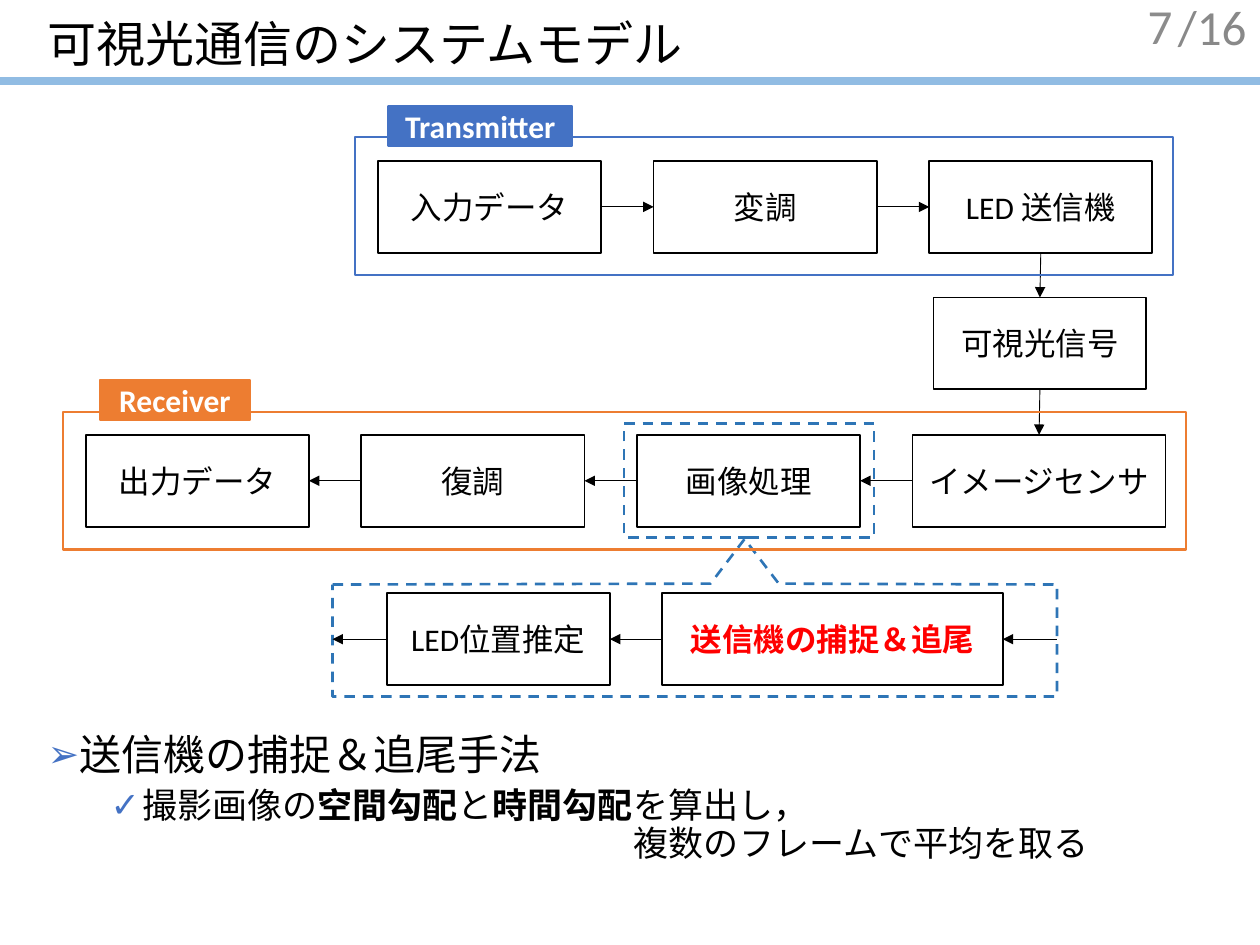
from lxml import etree
from pptx import Presentation
from pptx.dml.color import RGBColor
from pptx.enum import dml, shapes, text
from pptx.oxml.ns import qn
from pptx.util import Pt

THEME = {
    "font": "Calibri", "black": "000000", "white": "FFFFFF", "red": "FF0000",
    "blue": "4472C4", "orange": "ED7D31", "dash": "2E75B6", "rule": "91BCE3",
    "total": "898989", "number": "8C8C8C",
    "title_size": 28, "heading_size": 24, "detail_size": 20, "box_size": 18,
}

TITLE = "可視光通信のシステムモデル"
# Each row: left, top, labels in reading order, widths that differ, direction of flow
ROWS = {
    "transmitter": (216, 92, ["入力データ", "変調", "LED 送信機"], {}, "right"),
    "receiver": (49, 248.5, ["出力データ", "復調", "画像処理", "イメージセンサ"],
                 {3: 144.5}, "left"),
    "processing": (221, 339, ["LED位置推定", "送信機の捕捉＆追尾"], {1: 194.5}, "left"),
}
HIGHLIGHT = "送信機の捕捉＆追尾"
SIGNAL = ("可視光信号", (533.5, 170, 121.5))
# Each group: frame, tag, tag text, colour
GROUPS = [
    ((203, 78.5, 467.5, 78.5), (222, 60.5, 105, 23), "Transmitter", "blue"),
    ((36, 235.5, 642, 78.5), (57, 217, 86, 23), "Receiver", "orange"),
]
FOCUS = (356.5, 242, 143, 65)
CALLOUT = [(190, 334), (406, 333.5), (425.5, 308), (445, 333.5),
           (604, 334), (604, 398), (190, 398)]
# Each line: runs (text, bold), size, bullet, left edge, hanging, level, space before
BODY = [
    ([("送信機の捕捉＆追尾手法", False)], "heading_size", ("➢", 90), 18, 18, 0, 0),
    ([("撮影画像の", False), ("空間勾配", True), ("と", False), ("時間勾配", True),
      ("を算出し，", False)], "detail_size", ("✓", 100), 54, 18, 1, 5),
    ([("複数のフレームで平均を取る", False)], "detail_size", None, 335, 0, 1, 0),
]

BOX_WIDTH, BOX_HEIGHT, COLUMN_PITCH = 127.5, 52.5, 157.5
TOP_SITE, LEFT_SITE, BOTTOM_SITE, RIGHT_SITE = range(4)


def color(name):
    return RGBColor.from_string(THEME[name])


def style_paragraph(paragraph, size, color_name, bold=False, align=None):
    paragraph.alignment = align
    font = paragraph.font
    font.name, font.size, font.bold = THEME["font"], Pt(THEME[size]), bold
    font.color.rgb = color(color_name)


def style_outline(shape, line_color, line_width, dashed=False, fill=None):
    shape.shadow.inherit = False
    if fill:
        shape.fill.solid()
        shape.fill.fore_color.rgb = color(fill)
    else:
        shape.fill.background()
    shape.line.color.rgb = color(line_color)
    shape.line.width = Pt(line_width)
    if dashed:
        shape.line.dash_style = dml.MSO_LINE.DASH


def add_rectangle(slide, area, line_color, line_width, label="", label_color="black",
                  bold=False, **outline):
    shape = slide.shapes.add_shape(shapes.MSO_SHAPE.RECTANGLE, *map(Pt, area))
    style_outline(shape, line_color, line_width, **outline)
    if label:
        frame = shape.text_frame
        frame.text = label
        frame.vertical_anchor = text.MSO_ANCHOR.MIDDLE
        style_paragraph(frame.paragraphs[0], "box_size", label_color, bold,
                        text.PP_ALIGN.CENTER)
    return shape


def add_box(slide, left, top, width, label):
    marked = label == HIGHLIGHT
    return add_rectangle(slide, (left, top, width, BOX_HEIGHT), "black", 1, label,
                         "red" if marked else "black", marked)


def add_line(slide, start, end, line_color="black", width=0.5):
    line = slide.shapes.add_connector(shapes.MSO_CONNECTOR.STRAIGHT,
                                      *map(Pt, (*start, *end)))
    line.line.color.rgb = color(line_color)
    line.line.width = Pt(width)
    etree.SubElement(line._element.spPr, qn("a:effectLst"))
    return line


def add_arrow(slide, start=(0, 0), end=(0, 0), source=None, target=None):
    """Draw an arrow; source and target are (shape, site) pairs that override points."""
    arrow = add_line(slide, start, end)
    if source:
        arrow.begin_connect(*source)
    if target:
        arrow.end_connect(*target)
    etree.SubElement(arrow.line._get_or_add_ln(), qn("a:tailEnd"), type="triangle")


def add_row(slide, left, top, labels, widths, direction):
    boxes = [add_box(slide, left + i * COLUMN_PITCH, top, widths.get(i, BOX_WIDTH), label)
             for i, label in enumerate(labels)]
    for first, second in zip(boxes, boxes[1:]):
        ends = [(first, RIGHT_SITE), (second, LEFT_SITE)]
        if direction == "left":
            ends.reverse()
        add_arrow(slide, source=ends[0], target=ends[1])
    return boxes


def add_callout(slide):
    builder = slide.shapes.build_freeform(*map(Pt, CALLOUT[0]))
    builder.add_line_segments([(Pt(x), Pt(y)) for x, y in CALLOUT[1:]], close=True)
    style_outline(builder.convert_to_shape(), "dash", 1.5, dashed=True)


def place(shape, left, top, width, height):
    shape.left, shape.top, shape.width, shape.height = map(Pt, (left, top, width, height))
    shape.text_frame.auto_size = text.MSO_AUTO_SIZE.NONE


def add_label(slide, area, label, color_name, align, anchor):
    box = slide.shapes.add_textbox(*map(Pt, area))
    box.text_frame.word_wrap = True
    box.text_frame.vertical_anchor = anchor
    box.text_frame.text = label
    style_paragraph(box.text_frame.paragraphs[0], "title_size", color_name, align=align)


def set_bullet(paragraph, bullet, left, hanging):
    properties = paragraph._p.get_or_add_pPr()
    properties.set("marL", str(Pt(left)))
    properties.set("indent", str(-Pt(hanging)))
    if bullet is None:
        etree.SubElement(properties, qn("a:buNone"))
        return
    character, percent = bullet
    bullet_color = etree.SubElement(properties, qn("a:buClr"))
    etree.SubElement(bullet_color, qn("a:srgbClr"), val=THEME["blue"])
    etree.SubElement(properties, qn("a:buSzPct"), val=str(percent * 1000))
    etree.SubElement(properties, qn("a:buChar"), char=character)


def fill_body(body):
    place(body, 20, 416, 679, 106)
    frame = body.text_frame
    for i, (runs, size, bullet, left, hanging, level, before) in enumerate(BODY):
        paragraph = frame.add_paragraph() if i else frame.paragraphs[0]
        paragraph.level = level
        paragraph.line_spacing = 0.9
        paragraph.space_before = Pt(before)
        set_bullet(paragraph, bullet, left, hanging)
        style_paragraph(paragraph, size, "black", align=text.PP_ALIGN.LEFT)
        for words, bold in runs:
            run = paragraph.add_run()
            run.text, run.font.bold = words, bold


def main():
    presentation = Presentation()
    presentation.slide_width, presentation.slide_height = Pt(720), Pt(540)
    slide = presentation.slides.add_slide(presentation.slide_layouts[1])

    title, body = slide.placeholders
    place(title, 20, 0, 679, 53)
    title.text_frame.text = TITLE
    title.text_frame.vertical_anchor = text.MSO_ANCHOR.MIDDLE
    title.text_frame.paragraphs[0].line_spacing = 0.9
    style_paragraph(title.text_frame.paragraphs[0], "title_size", "black",
                    align=text.PP_ALIGN.LEFT)
    fill_body(body)

    add_line(slide, (0, 46.5), (720, 46.5), "rule", 4.5)
    add_label(slide, (666, -5.5, 85, 41), "/16", "total",
              text.PP_ALIGN.LEFT, text.MSO_ANCHOR.TOP)
    add_label(slide, (515, 0, 162, 29), "7", "number",
              text.PP_ALIGN.RIGHT, text.MSO_ANCHOR.MIDDLE)

    boxes = {name: add_row(slide, *row) for name, row in ROWS.items()}
    signal_label, signal_area = SIGNAL
    signal = add_box(slide, *signal_area, signal_label)
    for upper, lower in [(boxes["transmitter"][-1], signal), (signal, boxes["receiver"][-1])]:
        add_arrow(slide, source=(upper, BOTTOM_SITE), target=(lower, TOP_SITE))

    add_rectangle(slide, FOCUS, "dash", 1.5, dashed=True)
    add_callout(slide)
    estimate, tracking = boxes["processing"]
    middle = ROWS["processing"][1] + BOX_HEIGHT / 2
    add_arrow(slide, end=(CALLOUT[0][0], middle), source=(estimate, LEFT_SITE))
    add_arrow(slide, start=(CALLOUT[4][0], middle), target=(tracking, RIGHT_SITE))

    for frame, tag, name, group_color in GROUPS:
        add_rectangle(slide, frame, group_color, 1.25)
        add_rectangle(slide, tag, group_color, 1.25, name, "white", True, fill=group_color)

    presentation.save("out.pptx")


if __name__ == "__main__":
    main()
